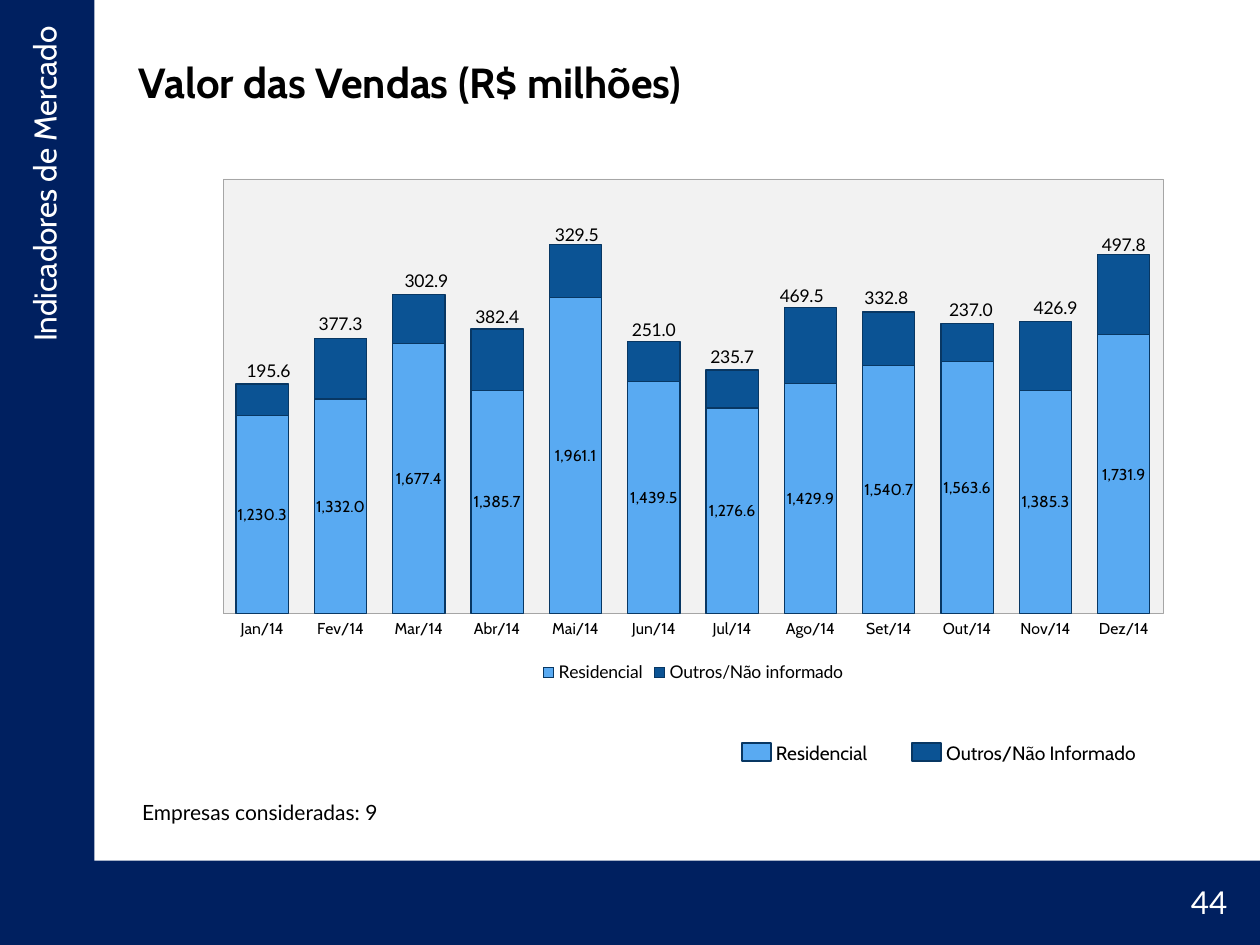
from lxml.etree import SubElement
from pptx import Presentation
from pptx.chart.data import CategoryChartData
from pptx.dml.color import RGBColor
from pptx.enum.chart import XL_CHART_TYPE, XL_LABEL_POSITION, XL_LEGEND_POSITION, XL_TICK_MARK
from pptx.enum.shapes import MSO_SHAPE
from pptx.enum.text import MSO_ANCHOR, PP_ALIGN
from pptx.oxml import parse_xml
from pptx.oxml.ns import nsdecls, qn
from pptx.util import Inches, Pt

# Content
TITLE = "Valor das Vendas (R$ milhões)"
SECTION = "Indicadores de Mercado"
FOOTNOTE = "Empresas consideradas: 9"
PAGE = "44"
MONTHS = [f"{month}/14" for month in
          "Jan Fev Mar Abr Mai Jun Jul Ago Set Out Nov Dez".split()]
RESIDENTIAL = [1230.3, 1332, 1677.4, 1385.7, 1961.1, 1439.5,
               1276.6, 1429.9, 1540.7, 1563.6, 1385.3, 1731.9]
OTHERS = [195.6, 377.3, 302.9, 382.4, 329.5, 251,
          235.7, 469.5, 332.8, 237, 426.9, 497.8]
# Shift of each upper label from the inside end of its bar, in inches
LABEL_SHIFTS = [(0.05, -0.23), (0, -0.24), (0.06, -0.23), (0, -0.22),
                (0.01, -0.2), (0, -0.21), (0, -0.23), (-0.07, -0.22),
                (-0.02, -0.23), (0.03, -0.23), (0.08, -0.23), (0, -0.2)]
KEY = [("Residencial", "light", 5.89), ("Outros/Não Informado", "dark", 7.24)]

COLORS = {"navy": "002060", "light": "59AAF2", "dark": "0B5394", "edge": "083763",
          "plot": "F2F2F2", "frame": "A6A6A6", "black": "000000", "white": "FFFFFF"}
NUMBER_FORMAT = "#,##0.0"
CHART_BOX = (1.62, 1.33, 7.76, 4.13)
PLOT_BOX = (1.77, 1.42, 7.46, 3.45)


def color(name):
    return RGBColor.from_string(COLORS[name])


def set_font(font, size, name, color_name="black", bold=False):
    font.size, font.name, font.bold = Pt(size), name, bold
    font.color.rgb = color(color_name)


def add_rect(slide, box, fill, edge=None):
    rect = slide.shapes.add_shape(MSO_SHAPE.RECTANGLE, *map(Inches, box))
    rect.shadow.inherit = False
    rect.fill.solid()
    rect.fill.fore_color.rgb = color(fill)
    if edge:
        rect.line.color.rgb = color(edge)
        rect.line.width = Pt(1)
    else:
        rect.line.fill.background()


def add_text(slide, box, text, size, name, color_name="black",
             align=PP_ALIGN.LEFT, wrap=True):
    label = slide.shapes.add_textbox(*map(Inches, box))
    label.text_frame.word_wrap = wrap
    paragraph = label.text_frame.paragraphs[0]
    paragraph.alignment = align
    run = paragraph.add_run()
    run.text = text
    set_font(run.font, size, name, color_name)
    return label


def manual_layout(**settings):
    layout = parse_xml(f"<c:layout {nsdecls('c')}/>")
    manual = SubElement(layout, qn("c:manualLayout"))
    for tag, value in settings.items():
        SubElement(manual, qn(f"c:{tag}")).set("val", str(value))
    return layout


def add_sales_chart(slide):
    data = CategoryChartData(number_format=NUMBER_FORMAT)
    data.categories = MONTHS
    data.add_series("Residencial", RESIDENTIAL)
    data.add_series("Outros/Não informado", OTHERS)
    chart = slide.shapes.add_chart(
        XL_CHART_TYPE.COLUMN_STACKED, *map(Inches, CHART_BOX), data).chart
    set_font(chart.font, 10, "Lato")
    chart.has_title = False
    chart.has_legend = True
    chart.legend.position = XL_LEGEND_POSITION.BOTTOM
    chart.legend.include_in_layout = False
    set_font(chart.legend.font, 10, "Lato")

    # Axes
    months_axis, value_axis = chart.category_axis, chart.value_axis
    months_axis.major_tick_mark = XL_TICK_MARK.NONE
    months_axis.format.line.color.rgb = color("frame")
    set_font(months_axis.tick_labels.font, 9, "Cabin")
    value_axis.minimum_scale, value_axis.maximum_scale = 0, 2700
    value_axis.has_major_gridlines = False
    value_axis.visible = False

    # Bars
    plot = chart.plots[0]
    plot.gap_width, plot.overlap = 50, 100
    plot.vary_by_categories = False
    for series, fill in zip(plot.series, ("light", "dark")):
        series.format.fill.solid()
        series.format.fill.fore_color.rgb = color(fill)
        series.format.line.color.rgb = color("edge")
        series.format.line.width = Pt(0.75)
    residential, others = plot.series

    # Value labels
    for series, size, name, position in (
            (residential, 9, "Cabin", XL_LABEL_POSITION.CENTER),
            (others, 10, "Lato", XL_LABEL_POSITION.INSIDE_END)):
        labels = series.data_labels
        labels.show_value = True
        labels.number_format = NUMBER_FORMAT
        labels.number_format_is_linked = False
        labels.position = position
        set_font(labels.font, size, name)
    _, _, width, height = CHART_BOX
    for index, (dx, dy) in enumerate(LABEL_SHIFTS):
        label = others.points[index].data_label
        set_font(label.font, 10, "Lato")
        label.position = XL_LABEL_POSITION.INSIDE_END
        element = others.data_labels._element.findall(qn("c:dLbl"))[index]
        element.insert(1, manual_layout(x=dx / width, y=dy / height))

    # Plot area: fixed place, grey fill and thin frame
    left, top, plot_width, plot_height = PLOT_BOX
    area = chart._chartSpace.chart.plotArea
    for old in area.findall(qn("c:layout")):
        area.remove(old)
    area.insert(0, manual_layout(
        layoutTarget="inner", xMode="edge", yMode="edge",
        x=(left - CHART_BOX[0]) / width, y=(top - CHART_BOX[1]) / height,
        w=plot_width / width, h=plot_height / height))
    area.append(parse_xml(
        f'<c:spPr {nsdecls("c", "a")}>'
        f'<a:solidFill><a:srgbClr val="{COLORS["plot"]}"/></a:solidFill>'
        f'<a:ln w="3175"><a:solidFill><a:srgbClr val="{COLORS["frame"]}"/>'
        '</a:solidFill></a:ln></c:spPr>'))


def main():
    deck = Presentation()
    deck.slide_width, deck.slide_height = Inches(10), Inches(7.5)
    slide = deck.slides.add_slide(deck.slide_layouts[5])

    # Frame bands (overlapping slightly, so no seam shows) and section name
    add_rect(slide, (0, 6.83, 10, 0.67), "navy")
    add_rect(slide, (0, 0, 0.75, 6.85), "navy")
    section = add_text(slide, (-2.55, 2.81, 5.8, 0.4), SECTION, 18, "Cabin",
                       "white", PP_ALIGN.RIGHT)
    section.rotation = 270

    # Title
    title = slide.shapes.title
    title.left, title.top, title.width, title.height = map(Inches, (1, 0.3, 8.5, 0.7))
    title.text_frame.vertical_anchor = MSO_ANCHOR.MIDDLE
    heading = title.text_frame.paragraphs[0]
    heading.alignment = PP_ALIGN.LEFT
    run = heading.add_run()
    run.text = TITLE
    set_font(run.font, 24, "Cabin", bold=True)

    add_sales_chart(slide)

    # Colour key
    for name, fill, left in KEY:
        add_rect(slide, (left, 5.9, 0.23, 0.14), fill, "edge")
        add_text(slide, (left + 0.17, 5.83, 2.09, 0.29), name, 11, "Cabin")

    # Footnote and page number
    add_text(slide, (1.03, 6.3, 2.12, 0.3), FOOTNOTE, 12, "Lato", wrap=False)
    add_text(slide, (8.92, 6.96, 0.92, 0.4), PAGE, 18, "Lato", "white", PP_ALIGN.RIGHT)
    deck.save("out.pptx")


if __name__ == "__main__":
    main()
